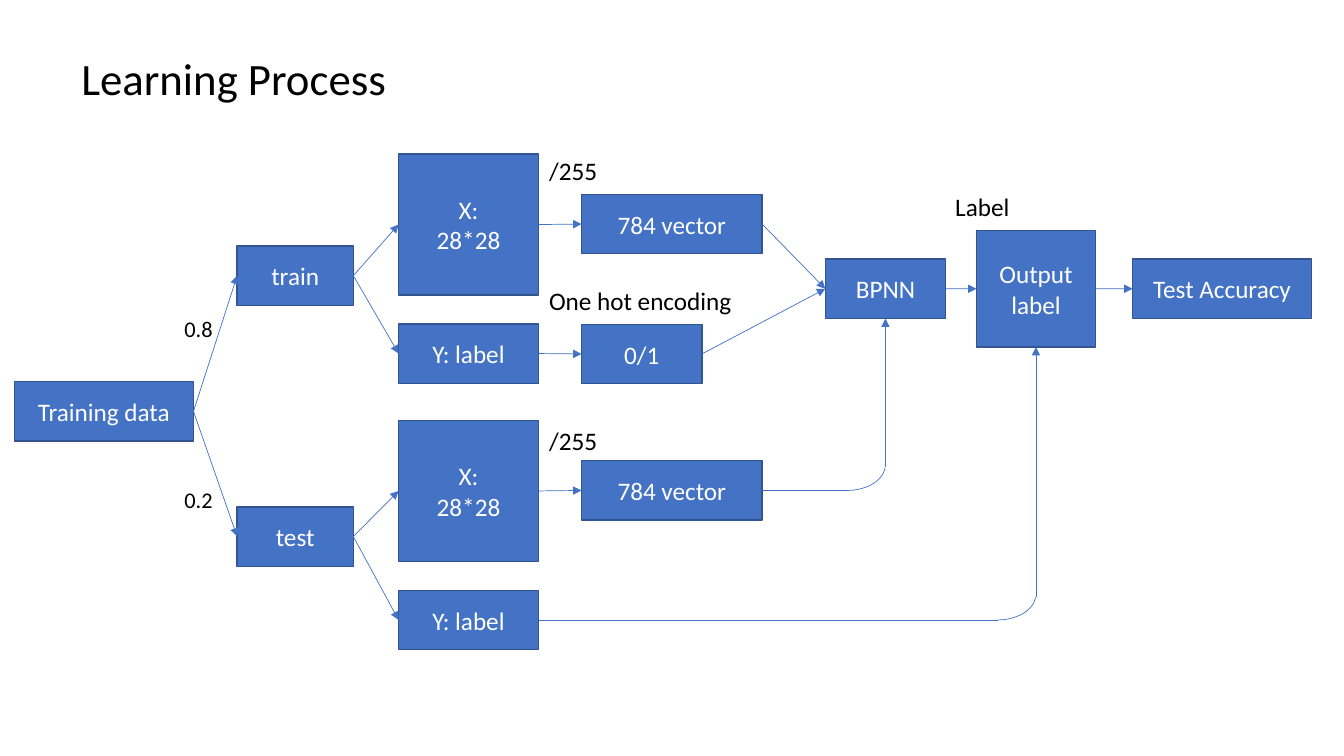
from lxml.etree import SubElement
from pptx import Presentation
from pptx.dml.color import RGBColor
from pptx.enum.shapes import MSO_CONNECTOR, MSO_SHAPE
from pptx.enum.text import MSO_ANCHOR, MSO_AUTO_SIZE, PP_ALIGN
from pptx.oxml.ns import qn
from pptx.util import Pt

COLORS = {"fill": "4472C4", "edge": "325491", "light": "FFFFFF", "dark": "000000"}
FONT = "Calibri"
ROW = 42.5
TOP, LEFT, BOTTOM, RIGHT = range(4)


def color(name):
    """Return the named colour."""
    return RGBColor.from_string(COLORS[name])


def write(frame, text, size, ink, align):
    """Put styled text in a frame."""
    frame.text = text
    frame.word_wrap = True
    for para in frame.paragraphs:
        para.alignment = align
        for run in para.runs:
            run.font.name = FONT
            run.font.size = Pt(size)
            run.font.color.rgb = color(ink)


def box(slide, text, left, top, width, height=ROW):
    """Add a filled step box."""
    shape = slide.shapes.add_shape(
        MSO_SHAPE.RECTANGLE, Pt(left), Pt(top), Pt(width), Pt(height))
    shape.shadow.inherit = False
    shape.fill.solid()
    shape.fill.fore_color.rgb = color("fill")
    shape.line.color.rgb = color("edge")
    shape.line.width = Pt(1)
    shape.text_frame.vertical_anchor = MSO_ANCHOR.MIDDLE
    write(shape.text_frame, text, 18, "light", PP_ALIGN.CENTER)
    return shape


def note(slide, text, left, top, width=145.5, height=29, size=18):
    """Add a plain text label."""
    shape = slide.shapes.add_textbox(Pt(left), Pt(top), Pt(width), Pt(height))
    write(shape.text_frame, text, size, "dark", PP_ALIGN.LEFT)
    shape.text_frame.auto_size = MSO_AUTO_SIZE.SHAPE_TO_FIT_TEXT


def wire(slide, start=(0, 0), end=(0, 0), head=True):
    """Add a thin line, with an arrowhead if asked."""
    line = slide.shapes.add_connector(MSO_CONNECTOR.STRAIGHT, *start, *end)
    line.line.color.rgb = color("fill")
    line.line.width = Pt(0.5)
    props = line.element.spPr
    if head:
        SubElement(props.find(qn("a:ln")), qn("a:tailEnd"), type="triangle")
    SubElement(props, qn("a:effectLst"))
    return line


def link(slide, first, last):
    """Join the right side of one box to the left side of the next."""
    line = wire(slide)
    line.begin_connect(first, RIGHT)
    line.end_connect(last, LEFT)


def bend(slide, first, last):
    """Run right from one box, then curve up into another."""
    wide, high = Pt(54.7), Pt(36.7)
    row = first.top + first.height // 2
    col = last.left + last.width // 2
    line = wire(slide, end=(col - wide // 2, row), head=False)
    line.begin_connect(first, RIGHT)
    arc = slide.shapes.add_shape(MSO_SHAPE.ARC, col - wide, row - high, wide, high)
    arc.adjustments[0] = 162
    arc.adjustments[1] = 213.29
    arc.element.spPr.find(qn("a:xfrm")).set("flipV", "1")
    arc.shadow.inherit = False
    arc.fill.background()
    arc.line.color.rgb = color("fill")
    arc.line.width = Pt(0.5)
    rise = wire(slide, start=(col, row - Pt(16.6)))
    rise.end_connect(last, BOTTOM)


def branch(slide, name, left, top, drop, lift):
    """Add one data split, its X and Y boxes and its vector."""
    split = box(slide, name, left, top + drop, 83)
    data = box(slide, "X:\n28*28", left + 115.3, top, 100, 100.8)
    label = box(slide, "Y: label", left + 115.3, top + 121.3, 100)
    vector = box(slide, "784 vector", left + 246, top + 28.8, 129)
    note(slide, "/255", left + 215.7, top - lift)
    for pair in ((split, data), (split, label), (data, vector)):
        link(slide, *pair)
    return split, label, vector


def result(slide, left, top):
    """Add the network, its output and the accuracy, left to right."""
    net = box(slide, "BPNN", left, top, 86)
    out = box(slide, "Output label", left + 108, top - 20.3, 85, 83.2)
    score = box(slide, "Test Accuracy", left + 219.5, top, 127.8)
    note(slide, "Label", left + 85.7, top - 51.8)
    link(slide, net, out)
    link(slide, out, score)
    return net, out


def main():
    """Build and save the slide."""
    deck = Presentation()
    deck.slide_width, deck.slide_height = Pt(960), Pt(540)
    slide = deck.slides.add_slide(deck.slide_layouts[6])

    note(slide, "Learning Process", 51, 32.4, 488, 46, 32)
    source = box(slide, "Training data", 10.2, 272.6, 128)
    train, label, vector = branch(slide, "train", 169.4, 110, 65.7, 2.8)
    test, truth, sample = branch(slide, "test", 169.4, 300.3, 61.7, 0)
    code = box(slide, "0/1", 415.4, 231.6, 86)
    note(slide, "One hot encoding", 385.1, 200.2)
    net, out = result(slide, 589.5, 185)

    for share, top in (("0.8", 221.8), ("0.2", 343.4)):
        note(slide, share, 124.6, top, 62.6, 26.6, 16)
    for pair in ((source, train), (source, test), (label, code),
                 (code, net), (vector, net)):
        link(slide, *pair)
    bend(slide, sample, net)
    bend(slide, truth, out)
    deck.save("out.pptx")


if __name__ == "__main__":
    main()
